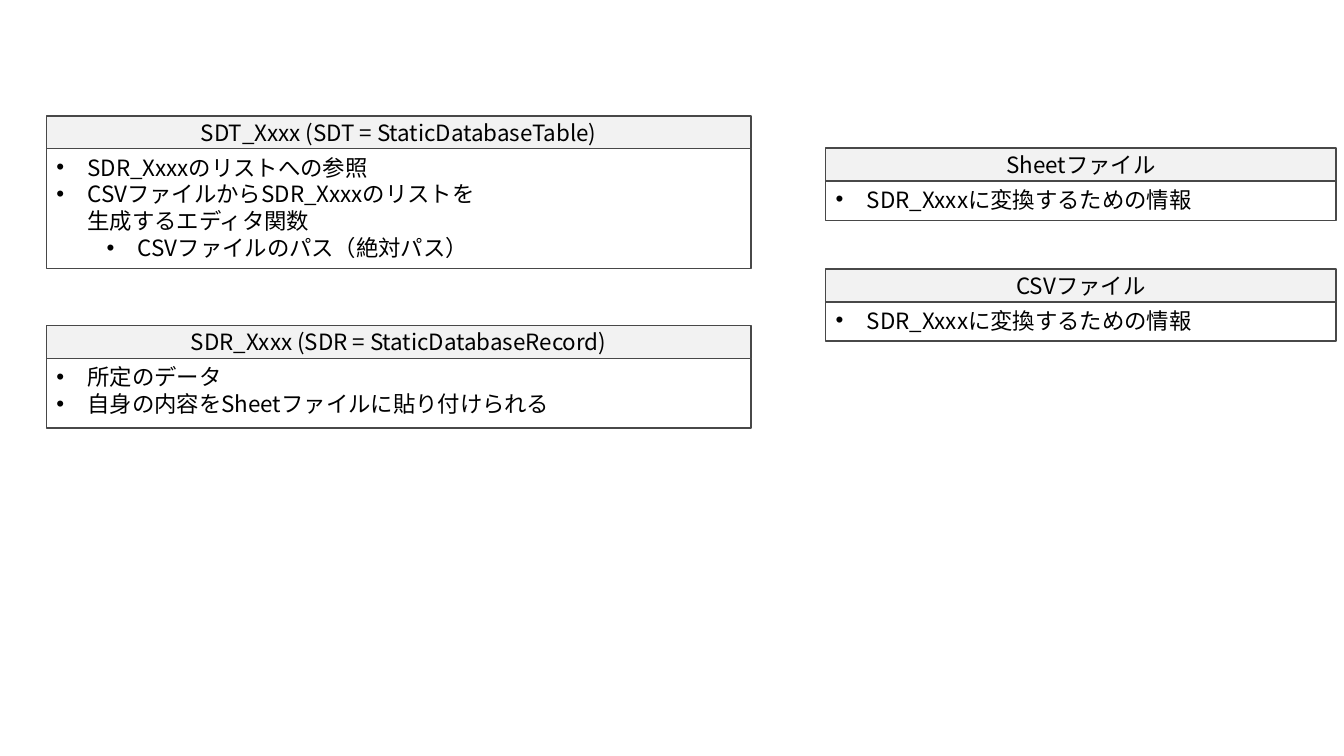
from lxml import etree
from pptx import Presentation
from pptx import util as u
from pptx.dml.color import RGBColor
from pptx.enum import shapes, text
from pptx.oxml import ns


def rgb(value):
    return RGBColor.from_string(value)


class Deck:
    font = "Noto Sans CJK JP"
    size = 16
    ink, edge = "000000", "484848"
    header_fill, body_fill = "F2F2F2", "FFFFFF"
    header_height = 0.325
    indent, level_step = 0.31, 0.5

    def __init__(self, prs):
        self.s = prs.slides.add_slide(prs.slide_layouts[6])

    def box(self, x, y, w, h, fill, anchor):
        sp = self.s.shapes.add_shape(
            shapes.MSO_SHAPE.RECTANGLE, *map(u.Inches, (x, y, w, h)))
        sp.shadow.inherit = False
        sp.fill.solid()
        sp.fill.fore_color.rgb = rgb(fill)
        sp.line.color.rgb = rgb(self.edge)
        sp.line.width = u.Pt(1)
        tf = sp.text_frame
        tf.word_wrap = True
        tf.vertical_anchor = anchor
        return tf

    def add_text(self, p, words):
        for i, line in enumerate(words.split("\n")):
            if i:
                p.add_line_break()
            r = p.add_run()
            r.text = line
            r.font.size = u.Pt(self.size)
            r.font.name = self.font
            r.font.color.rgb = rgb(self.ink)
            ea = etree.SubElement(r.font._element, ns.qn("a:ea"))
            ea.set("typeface", self.font)

    def bullet(self, p, level):
        p.alignment = text.PP_ALIGN.LEFT
        p.level = level
        pPr = p._p.get_or_add_pPr()
        pPr.set("marL", str(u.Inches(self.indent + level * self.level_step)))
        pPr.set("indent", str(-u.Inches(self.indent)))
        etree.SubElement(pPr, ns.qn("a:buFont")).set("typeface", "Arial")
        etree.SubElement(pPr, ns.qn("a:buChar")).set("char", "•")

    def card(self, x, y, w, body_height, title, items):
        # Header bar
        tf = self.box(x, y, w, self.header_height, self.header_fill,
                      text.MSO_ANCHOR.MIDDLE)
        p = tf.paragraphs[0]
        p.alignment = text.PP_ALIGN.CENTER
        self.add_text(p, title)

        # Bulleted body
        tf = self.box(x, y + self.header_height, w, body_height,
                      self.body_fill, text.MSO_ANCHOR.TOP)
        for i, (level, words) in enumerate(items):
            p = tf.add_paragraph() if i else tf.paragraphs[0]
            self.bullet(p, level)
            self.add_text(p, words)


def main():
    prs = Presentation()
    prs.slide_width, prs.slide_height = u.Inches(13.33), u.Inches(7.5)
    deck = Deck(prs)

    # Static database classes
    left, class_width = 0.46, 6.99
    deck.card(left, 1.15, class_width, 1.19,
              "SDT_Xxxx (SDT = StaticDatabaseTable)",
              [(0, "SDR_Xxxxのリストへの参照"),
               (0, "CSVファイルからSDR_Xxxxのリストを\n生成するエディタ関数"),
               (1, "CSVファイルのパス（絶対パス）")])
    deck.card(left, 3.23, class_width, 0.69,
              "SDR_Xxxx (SDR = StaticDatabaseRecord)",
              [(0, "所定のデータ"),
               (0, "自身の内容をSheetファイルに貼り付けられる")])

    # Source files
    for y, kind in ((1.47, "Sheet"), (2.67, "CSV")):
        deck.card(8.19, y, 5.06, 0.39, f"{kind}ファイル",
                  [(0, "SDR_Xxxxに変換するための情報")])

    prs.save("out.pptx")


if __name__ == "__main__":
    main()
